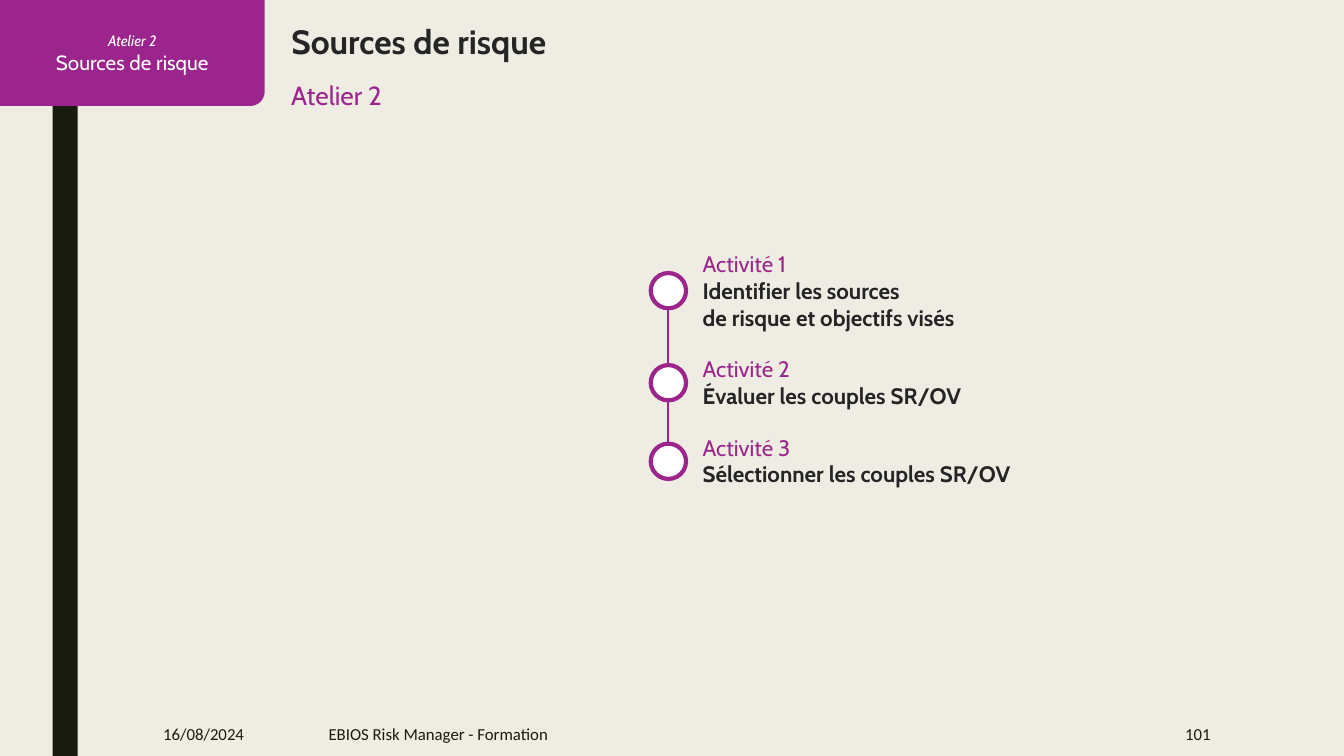
from dataclasses import dataclass
from math import cos, pi, sin

from lxml.etree import SubElement
from pptx import Presentation
from pptx.dml.color import RGBColor
from pptx.enum.shapes import MSO_CONNECTOR, MSO_SHAPE
from pptx.enum.text import MSO_ANCHOR, MSO_AUTO_SIZE, PP_ALIGN
from pptx.oxml.ns import qn
from pptx.util import Cm, Pt


@dataclass(frozen=True)
class Theme:
    background: str = "EFEDE3"
    bar: str = "191B0E"
    accent: str = "9C258D"
    activity: str = "9C258C"
    text: str = "252525"
    white: str = "FFFFFF"
    font: str = "Cabin"
    footer_font: str = "Calibri"
    title_size: float = 24
    subtitle_size: float = 18.7
    activity_size: float = 16
    tab_size: float = 14.7
    footer_size: float = 12
    tab_label_size: float = 10.7


def add_text(p, text, *, size, color, font, bold=False, italic=False):
    for i, line in enumerate(text.split("\n")):
        if i:
            p.add_line_break()
        r = p.add_run()
        r.text = line
        r.font.name = font
        r.font.size = Pt(size)
        r.font.bold = bold
        r.font.italic = italic
        r.font.color.rgb = RGBColor.from_string(color)


class SlideBuilder:
    def __init__(self, prs, theme):
        self.theme = theme
        self.slide = prs.slides.add_slide(prs.slide_layouts[5])
        self.shapes = self.slide.shapes
        fill = self.slide.background.fill
        fill.solid()
        fill.fore_color.rgb = RGBColor.from_string(theme.background)

    def paint(self, sp, fill, line=None, width=0):
        sp.shadow.inherit = False
        sp.fill.solid()
        sp.fill.fore_color.rgb = RGBColor.from_string(fill)
        if line:
            sp.line.color.rgb = RGBColor.from_string(line)
            sp.line.width = Pt(width)
        else:
            sp.line.fill.background()

    def shape(self, kind, x, y, w, h, fill, **line):
        sp = self.shapes.add_shape(kind, Cm(x), Cm(y), Cm(w), Cm(h))
        self.paint(sp, fill, **line)

    def tab(self, w, h, radius, label, name):
        t = self.theme
        steps = 16
        angles = [i * pi / 2 / steps for i in range(steps + 1)]
        corner = [(w - radius + radius * cos(a), h - radius + radius * sin(a)) for a in angles]
        outline = [(w, 0), *corner, (0, h)]
        builder = self.shapes.build_freeform(0, 0)
        builder.add_line_segments([(Cm(x), Cm(y)) for x, y in outline], close=True)
        sp = builder.convert_to_shape()
        self.paint(sp, t.accent)
        tf = sp.text_frame
        tf.word_wrap = True
        tf.vertical_anchor = MSO_ANCHOR.MIDDLE
        p = tf.paragraphs[0]
        p.alignment = PP_ALIGN.CENTER
        add_text(p, label, size=t.tab_label_size, color=t.white, font=t.font, italic=True)
        p = tf.add_paragraph()
        p.alignment = PP_ALIGN.CENTER
        add_text(p, name, size=t.tab_size, color=t.white, font=t.font)

    def line(self, x1, y1, x2, y2, color, width):
        line = self.shapes.add_connector(MSO_CONNECTOR.STRAIGHT, Cm(x1), Cm(y1), Cm(x2), Cm(y2))
        line.line.color.rgb = RGBColor.from_string(color)
        line.line.width = Pt(width)
        SubElement(line._element.spPr, qn("a:effectLst"))

    def frame(self, tf, inset=(0, 0), anchor=MSO_ANCHOR.TOP, align=PP_ALIGN.LEFT):
        tf.word_wrap = True
        tf.auto_size = MSO_AUTO_SIZE.NONE
        tf.margin_left = tf.margin_right = Cm(inset[0])
        tf.margin_top = tf.margin_bottom = Cm(inset[1])
        tf.vertical_anchor = anchor
        p = tf.paragraphs[0]
        p.alignment = align
        return p

    def textbox(self, x, y, w, h, **layout):
        sp = self.shapes.add_textbox(Cm(x), Cm(y), Cm(w), Cm(h))
        return self.frame(sp.text_frame, **layout)

    def title(self, x, y, w, h, text):
        t = self.theme
        sp = self.shapes.title
        sp.left, sp.top, sp.width, sp.height = Cm(x), Cm(y), Cm(w), Cm(h)
        add_text(self.frame(sp.text_frame), text, size=t.title_size, color=t.text,
                 font=t.font, bold=True)

    def subtitle(self, x, y, w, h, text):
        t = self.theme
        add_text(self.textbox(x, y, w, h), text, size=t.subtitle_size, color=t.accent, font=t.font)

    def activity(self, number, circle_y, text_y, h, text):
        t = self.theme
        self.shape(MSO_SHAPE.OVAL, 16.4, circle_y, 0.89, 0.89, t.white, line=t.activity, width=3)
        p = self.textbox(17.71, text_y, 11, h)
        style = dict(size=t.activity_size, font=t.font)
        add_text(p, f"Activité {number}", color=t.activity, **style)
        p.add_line_break()
        add_text(p, text, color=t.text, bold=True, **style)

    def footer(self, x, w, text, align=PP_ALIGN.LEFT):
        t = self.theme
        p = self.textbox(x, 17.93, w, 1.12, inset=(0.25, 0.13), anchor=MSO_ANCHOR.MIDDLE, align=align)
        add_text(p, text, size=t.footer_size, color=t.bar, font=t.footer_font)


def main():
    prs = Presentation()
    prs.slide_width, prs.slide_height = Cm(33.87), Cm(19.05)
    theme = Theme()
    s = SlideBuilder(prs, theme)

    s.shape(MSO_SHAPE.RECTANGLE, 1.33, 0, 0.63, 19.05, theme.bar)
    s.tab(6.67, 2.67, 0.36, "Atelier 2", "Sources de risque")
    s.title(7.34, 0.53, 25.32, 1.02, "Sources de risque")
    s.subtitle(7.34, 2.01, 23.85, 0.79, "Atelier 2")

    s.line(16.84, 6.88, 16.84, 11.3, theme.activity, 1.25)
    activities = [
        (6.88, 6.3, 2.06, "Identifier les sources\nde risque et objectifs visés"),
        (9.2, 8.96, 1.37, "Évaluer les couples SR/OV"),
        (11.18, 10.93, 1.37, "Sélectionner les couples SR/OV"),
    ]
    for number, activity in enumerate(activities, 1):
        s.activity(number, *activity)

    s.footer(3.86, 3.35, "16/08/2024")
    s.footer(8.03, 17.45, "EBIOS Risk Manager - Formation")
    s.footer(26.31, 4.45, "101", PP_ALIGN.RIGHT)
    prs.save("out.pptx")


if __name__ == "__main__":
    main()
